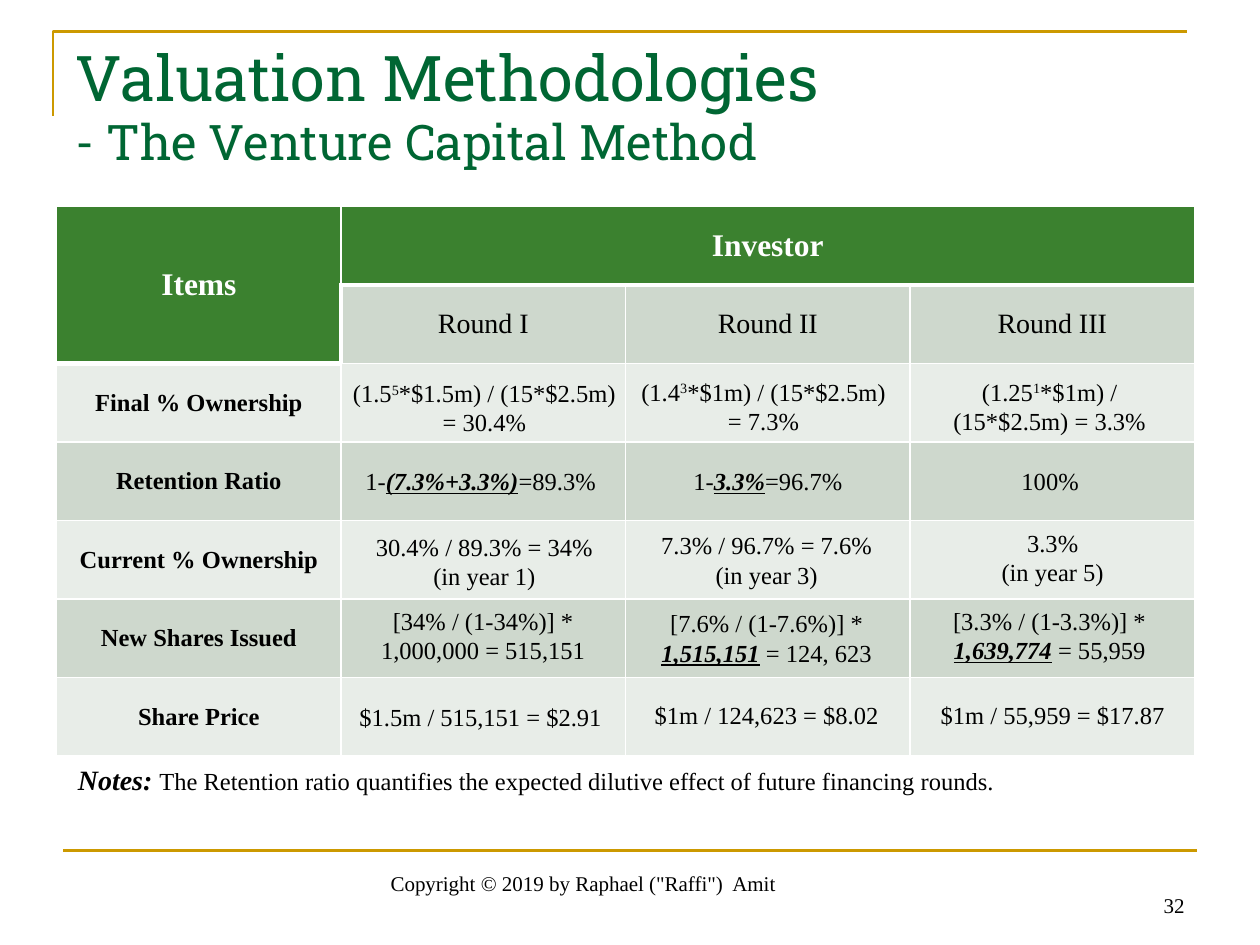
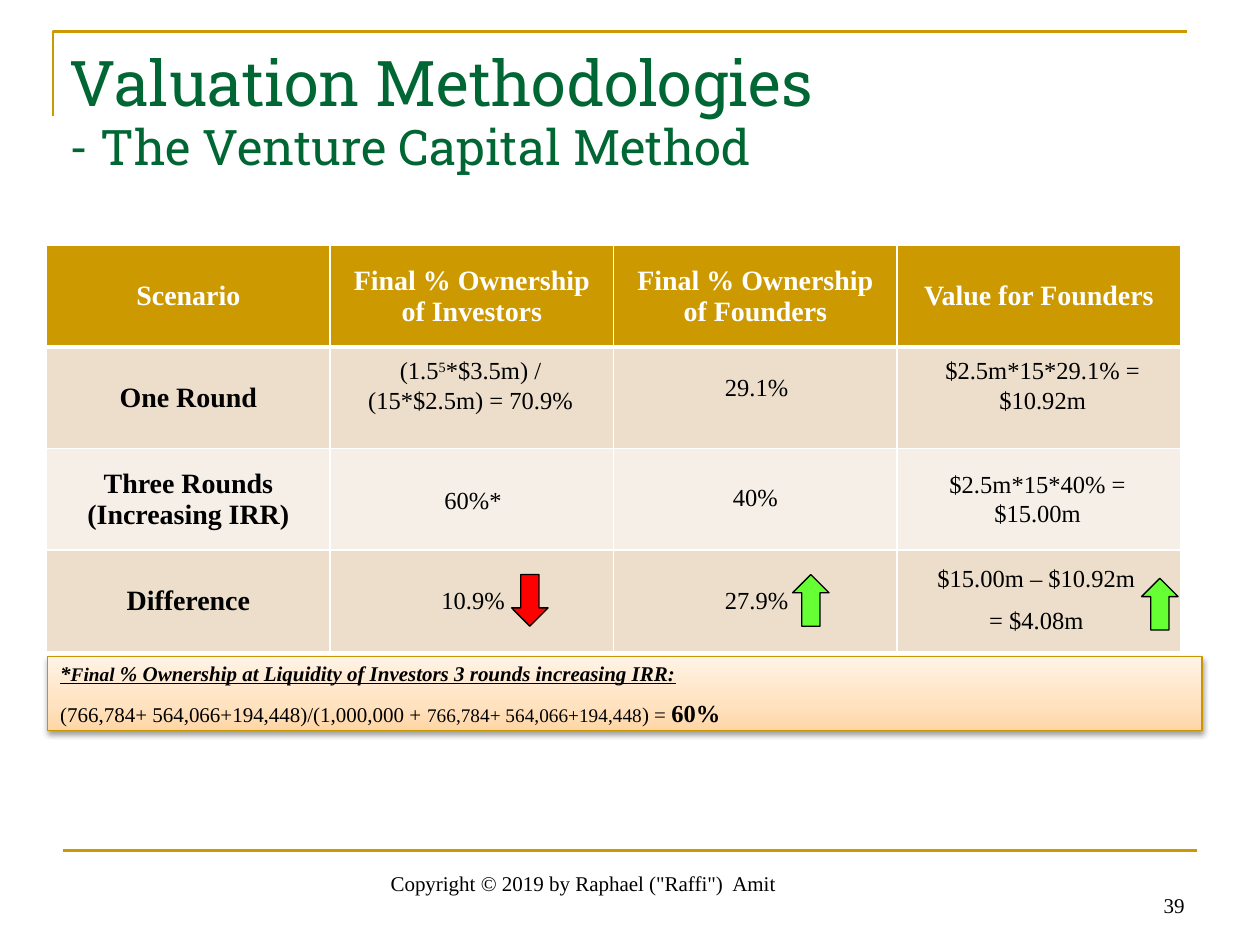
import dataclasses
import typing

import pptx
import pptx.dml.color
import pptx.enum.shapes
import pptx.enum.text
import pptx.oxml.ns
import pptx.util
from lxml import etree

Inches = pptx.util.Inches
Pt = pptx.util.Pt
Align = pptx.enum.text.PP_ALIGN
Anchor = pptx.enum.text.MSO_ANCHOR
Shape = pptx.enum.shapes.MSO_SHAPE
qn = pptx.oxml.ns.qn


@dataclasses.dataclass(frozen=True)
class Theme:
    serif: str = "Times New Roman"
    slab: str = "Roboto Slab"
    ink: str = "000000"
    white: str = "FFFFFF"
    title: str = "006633"
    gold: str = "CC9900"
    edge: str = "C89600"
    red: str = "FF0000"
    lime: str = "66FF33"
    glow: tuple = ((0, "FFD6A5"), (35, "FFE2BF"), (100, "FFF3E7"))
    big: int = 36
    sub: int = 28
    head: int = 18
    label: int = 16
    body: int = 14
    small: int = 12
    tiny: int = 11


T = Theme()


class Run(typing.NamedTuple):
    text: str
    size: int | None = None
    bold: bool = False
    ital: bool = False
    under: bool = False
    sup: bool = False


class Box(typing.NamedTuple):
    left: float
    top: float
    width: float
    height: float
    paras: tuple  # each paragraph is a tuple of Run or str


class Arrow(typing.NamedTuple):
    left: float
    top: float
    kind: typing.Any
    color: str


class Cell(typing.NamedTuple):
    text: str
    size: int
    bold: bool = True


class Grid(typing.NamedTuple):
    left: float
    top: float
    width: float
    height: float
    rows: int
    cols: int
    fills: tuple  # header, odd rows, even rows
    heads: set
    cells: dict
    spans: tuple = ()


def sup(text: str) -> Run:
    return Run(text, sup=True)


def key(text: str, size: int | None = None) -> Run:
    return Run(text, size, bold=True, ital=True, under=True)


def rgb(code: str):
    return pptx.dml.color.RGBColor.from_string(code)


def style(font, size: int | None, color: str, name: str = T.serif) -> None:
    font.name = name
    font.color.rgb = rgb(color)
    if size:
        font.size = Pt(size)


def write(frame, paras, size: int = T.body, align=Align.CENTER) -> None:
    frame.word_wrap = True
    for n, runs in enumerate(paras):
        para = frame.paragraphs[0] if n == 0 else frame.add_paragraph()
        para.alignment = align
        style(para.font, size, T.ink)
        for part in runs:
            item = Run(part) if isinstance(part, str) else part
            run = para.add_run()
            run.text = item.text
            if item.size:
                run.font.size = Pt(item.size)
            for name, on in (("bold", item.bold), ("italic", item.ital),
                             ("underline", item.under)):
                if on:
                    setattr(run.font, name, True)
            if item.sup:
                run.font._element.set("baseline", "30000")


def text(slide, box: Box, size: int = T.body, align=Align.CENTER,
         anchor=Anchor.TOP, gap: float = 0):
    shape = slide.shapes.add_textbox(*map(Inches, box[:4]))
    frame = shape.text_frame
    frame.vertical_anchor = anchor
    write(frame, box.paras, size, align)
    for para in frame.paragraphs[1:]:
        para.space_before = Pt(gap)


def rule(shape, color: str, width: float) -> None:
    shape.line.color.rgb = rgb(color)
    shape.line.width = Pt(width)


# Parts every slide shares
def base(deck, top: float, left: float, width: float, height: float, number: str):
    slide = deck.slides.add_slide(deck.slide_layouts[5])
    pen = slide.shapes.build_freeform(Inches(0.42), Inches(0.92))
    pen.add_line_segments([(Inches(0.42), Inches(0.25)),
                           (Inches(9.42), Inches(0.25))], close=False)
    frame = pen.convert_to_shape()
    frame.fill.background()
    frame.shadow.inherit = False
    rule(frame, T.gold, 1.5)

    line = slide.shapes.add_connector(
        pptx.enum.shapes.MSO_CONNECTOR.STRAIGHT,
        Inches(0.5), Inches(6.75), Inches(9.5), Inches(6.75))
    rule(line, T.gold, 1.5)
    etree.SubElement(line._element.spPr, qn("a:effectLst"))

    title = slide.shapes.title
    title.left, title.top = Inches(left), Inches(top)
    title.width, title.height = Inches(width), Inches(height)
    body = title.text_frame
    body.vertical_anchor = Anchor.TOP
    body.auto_size = pptx.enum.text.MSO_AUTO_SIZE.NONE
    para = body.paragraphs[0]
    para.alignment = Align.LEFT
    para.line_spacing = 0.95
    style(para.font, None, T.title, T.slab)
    first = para.add_run()
    first.text, first.font.size = "Valuation Methodologies", Pt(T.big)
    para.add_line_break()
    second = para.add_run()
    second.text, second.font.size = "- The Venture Capital Method", Pt(T.sub)

    mark = 'Copyright © 2019 by Raphael ("Raffi")  Amit'
    text(slide, Box(2.51, 6.8, 4.24, 0.36, ((mark,),)), T.small, anchor=Anchor.BOTTOM)
    text(slide, Box(7.17, 6.83, 2.33, 0.5, ((number,),)), T.small,
         Align.RIGHT, Anchor.BOTTOM)
    return slide


def border(cell, sides: dict) -> None:
    props = cell._tc.get_or_add_tcPr()
    for side, width in sides.items():
        line = etree.SubElement(props, qn(f"a:ln{side}"), w=str(Pt(width)))
        fill = etree.SubElement(line, qn("a:solidFill"))
        etree.SubElement(fill, qn("a:srgbClr"), val=T.white)


def table(slide, grid: Grid) -> None:
    made = slide.shapes.add_table(grid.rows, grid.cols, *map(Inches, grid[:4])).table
    made.horz_banding = False
    for col in made.columns:
        col.width = Inches(grid.width / grid.cols)
    for row in made.rows:
        row.height = Inches(grid.height / grid.rows)
    for r in range(grid.rows):
        for c in range(grid.cols):
            cell = made.cell(r, c)
            head = (r, c) in grid.heads
            thick = {"L": not head and (r, c - 1) in grid.heads and r < 2,
                     "R": False,
                     "T": not head and (r - 1, c) in grid.heads,
                     "B": head}
            border(cell, {side: 3 if on else 1 for side, on in thick.items()})
            cell.fill.solid()
            cell.fill.fore_color.rgb = rgb(grid.fills[0 if head else 2 - r % 2])
            cell.vertical_anchor = Anchor.MIDDLE
            if (r, c) not in grid.cells:
                continue
            item = grid.cells[r, c]
            cell.text_frame.text = item.text
            for para in cell.text_frame.paragraphs:
                para.alignment = Align.CENTER
                style(para.font, item.size, T.white if head else T.ink)
                para.font.bold = item.bold
    for start, end in grid.spans:
        made.cell(*start).merge(made.cell(*end))


def arrow(slide, item: Arrow) -> None:
    shape = slide.shapes.add_shape(item.kind, Inches(item.left), Inches(item.top),
                                   Inches(0.29), Inches(0.41))
    shape.shadow.inherit = False
    shape.fill.solid()
    shape.fill.fore_color.rgb = rgb(item.color)
    rule(shape, T.ink, 0.75)


def panel(slide, box: Box) -> None:
    shape = slide.shapes.add_shape(Shape.RECTANGLE, *map(Inches, box[:4]))
    shape.fill.gradient()
    shape.fill.gradient_angle = 90
    rule(shape, T.edge, 0.75)
    shape.shadow.inherit = False
    props = shape._element.spPr
    stops = props.find(qn("a:gradFill")).find(qn("a:gsLst"))
    stops.clear()
    for place, color in T.glow:
        stop = etree.SubElement(stops, qn("a:gs"), pos=str(place * 1000))
        etree.SubElement(stop, qn("a:srgbClr"), val=color)
    shade = etree.SubElement(props.find(qn("a:effectLst")), qn("a:outerShdw"),
                             blurRad="40000", dist="20000", dir="5400000", rotWithShape="0")
    tint = etree.SubElement(shade, qn("a:srgbClr"), val=T.ink)
    etree.SubElement(tint, qn("a:alpha"), val="38000")
    shape.text_frame.vertical_anchor = Anchor.MIDDLE
    write(shape.text_frame, box.paras, T.small, Align.LEFT)
    shape.text_frame.paragraphs[1].space_before = Pt(7)


# Slide 1: investor rounds
ITEMS = ("Final % Ownership", "Retention Ratio", "Current % Ownership",
         "New Shares Issued", "Share Price")
ROUNDS = Grid(
    0.45, 1.64, 9.03, 4.36, 7, 4, ("3B812F", "CED8CD", "E8EDE8"),
    {(0, 0), (0, 1), (0, 2), (0, 3), (1, 0)},
    {(0, 0): Cell("Items", T.head), (0, 1): Cell("Investor", T.head)}
    | {(1, n): Cell("Round " + "I" * n, T.label, False) for n in (1, 2, 3)}
    | {(n, 0): Cell(name, T.body) for n, name in enumerate(ITEMS, 2)},
    (((0, 0), (1, 0)), ((0, 1), (0, 3))))
SUMS = (
    Box(2.68, 2.95, 2.33, 0.57, (("(1.5", sup("5"), "*$1.5m) / (15*$2.5m) = 30.4%"),)),
    Box(4.95, 2.94, 2.22, 0.57, (("(1.4", sup("3"), "*$1m) / (15*$2.5m) = 7.3%"),)),
    Box(7.22, 2.94, 2.22, 0.57, (("(1.25", sup("1"), "*$1m) / (15*$2.5m) = 3.3%"),)),
    Box(2.65, 3.65, 2.33, 0.34, (("1-", key("(7.3%+3.3%)"), "=89.3%"),)),
    Box(4.93, 3.65, 2.33, 0.34, (("1-", key("3.3%"), "=96.7%"),)),
    Box(7.17, 3.65, 2.33, 0.34, (("100%",),)),
    Box(2.68, 4.17, 2.33, 0.57, (("30.4% / 89.3% = 34%",), ("(in year 1)",))),
    Box(4.92, 4.16, 2.33, 0.57, (("7.3% / 96.7% = 7.6%",), ("(in year 3)",))),
    Box(7.19, 4.14, 2.33, 0.57, (("3.3%",), ("(in year 5)",))),
    Box(2.67, 4.76, 2.33, 0.57, (("[34% / (1-34%)] * 1,000,000 = 515,151",),)),
    Box(4.95, 4.78, 2.27, 0.57, (("[7.6% / (1-7.6%)] * ", key("1,515,151"), " = 124, 623"),)),
    Box(7.22, 4.76, 2.22, 0.57, (("[3.3% / (1-3.3%)] * ", key("1,639,774"), " = 55,959"),)),
    Box(2.65, 5.52, 2.33, 0.34, (("$1.5m / 515,151 = $2.91",),)),
    Box(4.92, 5.51, 2.33, 0.34, (("$1m / 124,623 = $8.02",),)),
    Box(7.19, 5.51, 2.33, 0.34, (("$1m / 55,959 = $17.87",),)),
)
NOTES = Box(0.52, 6, 8.82, 0.37, ((
    Run("Notes: ", T.label, bold=True, ital=True),
    "The Retention ratio quantifies the expected dilutive effect of future financing rounds."),))

# Slide 2: scenarios
HEADS = ("Scenario", "Final % Ownership of Investors",
         "Final % Ownership of Founders", "Value for Founders")
CASES = ("One Round", "Three Rounds\n(Increasing IRR)", "Difference")
PLANS = Grid(
    0.37, 1.95, 9, 3.22, 4, 4, (T.gold, "ECDECB", "F6EFE7"),
    {(0, n) for n in range(4)},
    {(0, n): Cell(name, T.label) for n, name in enumerate(HEADS)}
    | {(n, 0): Cell(name, T.label) for n, name in enumerate(CASES, 1)})
SHARES = (
    Box(2.6, 2.77, 2.27, 0.57, (("(1.5", sup("5"), "*$3.5m) / (15*$2.5m) = 70.9%"),)),
    Box(4.87, 2.9, 2.27, 0.34, (("29.1%",),)),
    Box(7.14, 2.77, 2.27, 0.57, (("$2.5m*15*29.1% = $10.92m",),)),
    Box(2.62, 3.8, 2.27, 0.34, (("60%*",),)),
    Box(4.86, 3.78, 2.27, 0.34, (("40%",),)),
    Box(7.1, 3.67, 2.27, 0.57, (("$2.5m*15*40% = $15.00m",),)),
    Box(2.62, 4.59, 2.27, 0.34, (("10.9%",),)),
    Box(4.87, 4.59, 2.27, 0.34, (("27.9%",),)),
    Box(7.09, 4.42, 2.27, 0.69, (("$15.00m – $10.92m",), ("= $4.08m",))),
)
PROOF = Box(0.38, 5.21, 9.16, 0.59, (
    (key("*"), key("Final", T.tiny),
     key(" % Ownership at Liquidity of Investors 3 rounds increasing IRR:")),
    ("(766,784+ 564,066+194,448)/(1,000,000 + ", Run("766,784+ 564,066+194,448", T.tiny),
     ") = ", Run("60%", T.body, bold=True))))
ARROWS = (Arrow(4.06, 4.56, Shape.DOWN_ARROW, T.red),
          Arrow(6.29, 4.56, Shape.UP_ARROW, T.lime),
          Arrow(9.06, 4.59, Shape.UP_ARROW, T.lime))


def main() -> None:
    deck = pptx.Presentation()
    deck.slide_width, deck.slide_height = Inches(10), Inches(7.5)

    slide = base(deck, 0.3, 0.5, 8.94, 1.15, "32")
    table(slide, ROUNDS)
    for box in SUMS:
        text(slide, box)
    text(slide, NOTES, align=Align.LEFT)

    slide = base(deck, 0.34, 0.45, 9, 1.29, "39")
    table(slide, PLANS)
    panel(slide, PROOF)
    for box in SHARES:
        text(slide, box, gap=7)
    for item in ARROWS:
        arrow(slide, item)

    deck.save("out.pptx")


if __name__ == "__main__":
    main()
